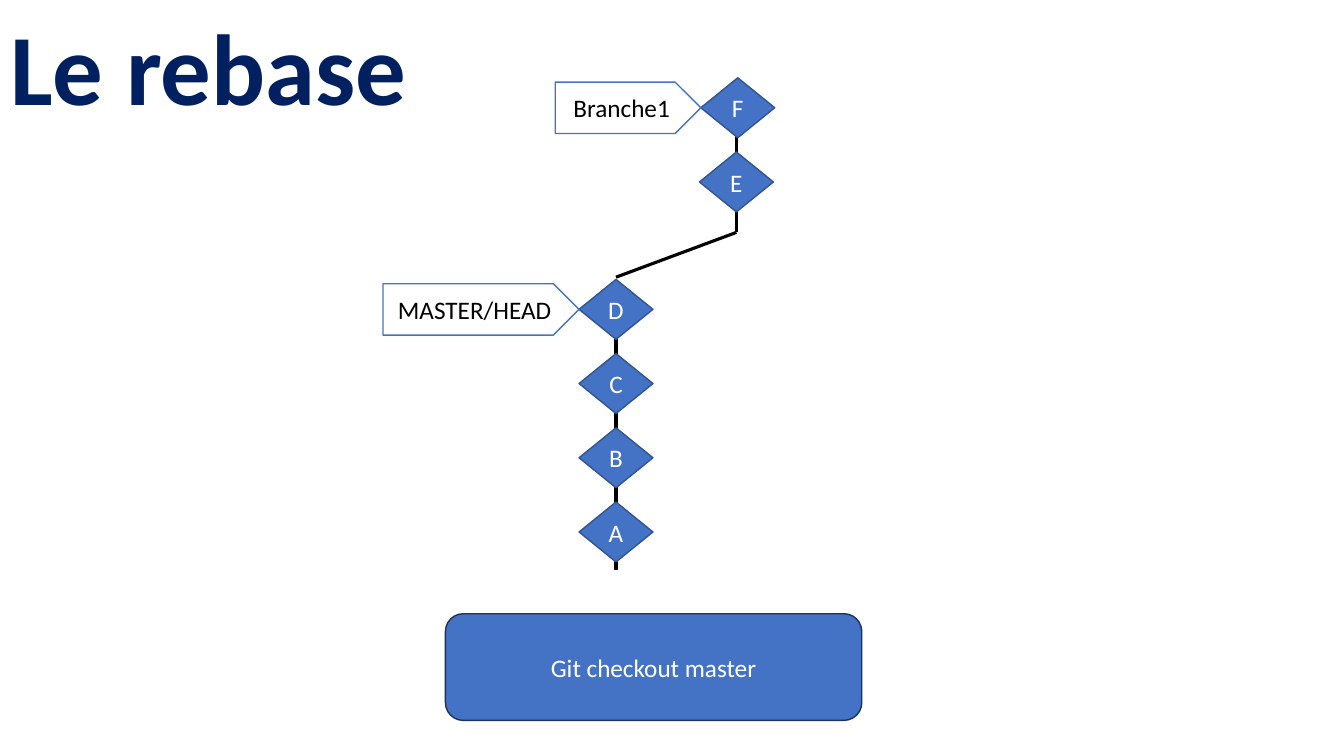
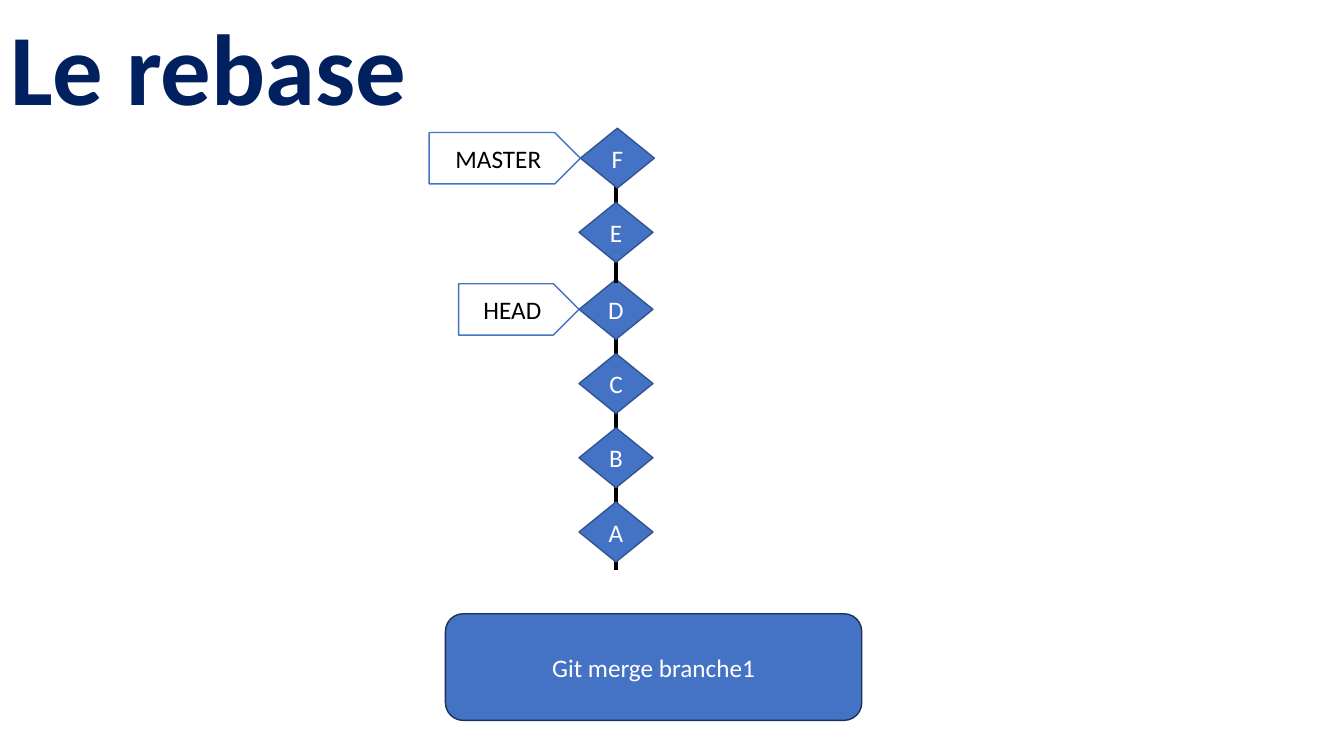
"""Build two slides showing a Git branch before and after a rebase merge."""
from dataclasses import dataclass

from lxml.etree import SubElement
from pptx import Presentation
from pptx.dml.color import RGBColor
from pptx.enum.shapes import MSO_CONNECTOR, MSO_SHAPE
from pptx.enum.text import MSO_ANCHOR, MSO_AUTO_SIZE, PP_ALIGN
from pptx.oxml.ns import qn
from pptx.util import Pt

TITLE = "Le rebase"
TRUNK_COMMITS = ["D", "C", "B", "A"]
BRANCH_COMMITS = ["F", "E"]
SLIDES = [
    {
        "command": "Git checkout master",
        "branch_x": 526,
        "branch_top": 77,
        "tags": [("D", "MASTER/HEAD", 140), ("F", "Branche1", 104)],
    },
    {
        "command": "Git merge branche1",
        "branch_x": 440,
        "branch_top": 113,
        "tags": [("F", "MASTER", 108), ("D", "HEAD", 86)],
    },
]

TRUNK_X, TRUNK_TOP = 440, 221
COMMIT_STEP = 53
COMMIT_WIDTH, COMMIT_HEIGHT = 52.8, 42.8
TIP_SHIFT = 1
TAG_HEIGHT = 36.7
TITLE_BOX = (0, 0, 828, 104.4)
COMMAND_BOX = (318.2, 438.4, 297.4, 76.2)


@dataclass(frozen=True)
class Theme:
    """Colours and type sizes shared by the slides."""
    font: str = "Calibri"
    title_size: int = 72
    label_size: int = 18
    line_width: float = 2.25
    outline_width: float = 1
    title: str = "002060"
    blue: str = "4472C4"
    commit_outline: str = "325491"
    command_outline: str = "1E3256"
    white: str = "FFFFFF"
    black: str = "000000"


THEME = Theme()


def format_text(shape, size, color, alignment, bold=False):
    """Apply the theme font to all text of a shape."""
    shape.text_frame.vertical_anchor = MSO_ANCHOR.MIDDLE
    for paragraph in shape.text_frame.paragraphs:
        paragraph.alignment = alignment
        for run in paragraph.runs:
            run.font.name = THEME.font
            run.font.size = Pt(size)
            run.font.bold = bold
            run.font.color.rgb = RGBColor.from_string(color)


def add_title(slide):
    """Place the shared title."""
    title = slide.shapes.title
    title.left, title.top, title.width, title.height = map(Pt, TITLE_BOX)
    title.text_frame.text = TITLE
    title.text_frame.auto_size = MSO_AUTO_SIZE.NONE
    title.text_frame.paragraphs[0].line_spacing = 0.9
    format_text(title, THEME.title_size, THEME.title, PP_ALIGN.LEFT, bold=True)


def add_label(slide, kind, box, text, fill, outline, color):
    """Add a filled preset shape with a centred label."""
    shape = slide.shapes.add_shape(kind, *map(Pt, box))
    shape.shadow.inherit = False
    shape.fill.solid()
    shape.fill.fore_color.rgb = RGBColor.from_string(fill)
    shape.line.color.rgb = RGBColor.from_string(outline)
    shape.line.width = Pt(THEME.outline_width)
    shape.text_frame.text = text
    format_text(shape, THEME.label_size, color, PP_ALIGN.CENTER)


def add_line(slide, *points):
    """Add a plain black line between two points."""
    line = slide.shapes.add_connector(MSO_CONNECTOR.STRAIGHT, *map(Pt, points))
    line.line.color.rgb = RGBColor.from_string(THEME.black)
    line.line.width = Pt(THEME.line_width)
    SubElement(line._element.spPr, qn("a:effectLst"))


def add_commits(slide, names, x, top):
    """Stack commits downwards and return their centres by name."""
    centres = {}
    for index, name in enumerate(names):
        centre_x = x + TIP_SHIFT if name == BRANCH_COMMITS[0] else x
        centre_y = top + index * COMMIT_STEP
        box = (centre_x - COMMIT_WIDTH / 2, centre_y - COMMIT_HEIGHT / 2,
               COMMIT_WIDTH, COMMIT_HEIGHT)
        add_label(slide, MSO_SHAPE.DIAMOND, box, name,
                  THEME.blue, THEME.commit_outline, THEME.white)
        centres[name] = (centre_x, centre_y)
    return centres


def add_tag(slide, text, width, centre):
    """Point a reference tag at the left corner of a commit."""
    centre_x, centre_y = centre
    box = (centre_x - COMMIT_WIDTH / 2 - width, centre_y - TAG_HEIGHT / 2,
           width, TAG_HEIGHT)
    add_label(slide, MSO_SHAPE.PENTAGON, box, text,
              THEME.white, THEME.blue, THEME.black)


def build_slide(presentation, content):
    """Draw one state of the commit graph and its command."""
    slide = presentation.slides.add_slide(presentation.slide_layouts[5])
    add_title(slide)

    add_line(slide, TRUNK_X, TRUNK_TOP - 21, TRUNK_X, TRUNK_TOP + 186)
    centres = add_commits(slide, TRUNK_COMMITS, TRUNK_X, TRUNK_TOP)

    branch_x, branch_top = content["branch_x"], content["branch_top"]
    branch_end = branch_top + 89
    add_line(slide, branch_x, branch_top + 9, branch_x, branch_end)
    centres |= add_commits(slide, BRANCH_COMMITS, branch_x, branch_top)
    if branch_x != TRUNK_X:
        add_line(slide, branch_x, branch_end, TRUNK_X, TRUNK_TOP - 23)

    for commit, text, width in content["tags"]:
        add_tag(slide, text, width, centres[commit])
    add_label(slide, MSO_SHAPE.ROUNDED_RECTANGLE, COMMAND_BOX, content["command"],
              THEME.blue, THEME.command_outline, THEME.white)


def main():
    """Build and save the presentation."""
    presentation = Presentation()
    presentation.slide_width, presentation.slide_height = Pt(960), Pt(540)
    for content in SLIDES:
        build_slide(presentation, content)
    presentation.save("out.pptx")


if __name__ == "__main__":
    main()
